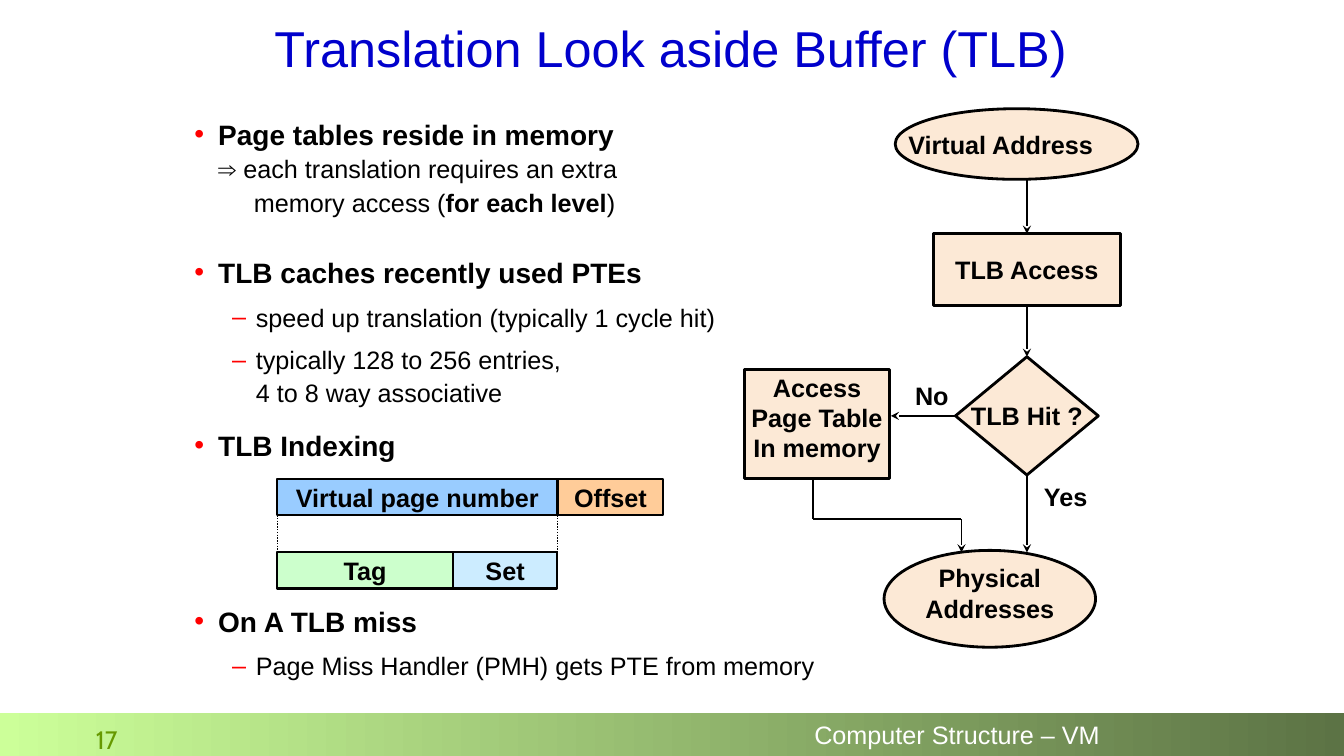
from lxml import etree
from pptx import Presentation
from pptx import util as u
from pptx.dml.color import RGBColor
from pptx.enum import dml, shapes, text
from pptx.oxml.ns import qn

COLORS = {
    "title": "0000CC", "ink": "000000", "bullet": "FF0000", "step": "FCE9D6",
    "page": "99CCFF", "offset": "FFCC99", "tag": "CCFFCC", "set": "CCECFF",
    "bar_start": "CCFF99", "bar_end": "5C7345", "footer": "FFFFFF",
    "number": "669900",
}
CENTER, LEFT, RIGHT = text.PP_ALIGN.CENTER, text.PP_ALIGN.LEFT, text.PP_ALIGN.RIGHT
TOP, MIDDLE = text.MSO_ANCHOR.TOP, text.MSO_ANCHOR.MIDDLE
NO_INSETS = (0, 0, 0, 0)

# text, kind, space before in points
OUTLINE = [
    ("Page tables reside in memory", "topic", 0),
    ("⇒ each translation requires an extra\vmemory access (", "result", 0),
    ("TLB caches recently used PTEs", "topic", 25),
    ("speed up translation (typically 1 cycle hit)", "detail", 7),
    ("typically 128 to 256 entries,\v4 to 8 way associative", "detail", 6.5),
    ("TLB Indexing", "topic", 12.5),
    ("On A TLB miss", "topic", 99),
    ("Page Miss Handler (PMH) gets PTE from memory", "detail", 7),
]
# kind: left margin and indent in cm, bullet, size, bold, level
KINDS = {
    "topic": (0.6, -0.6, "•", 20, True, 0),
    "result": (1.5, -0.9, None, 18, False, 0),
    "detail": (1.55, -0.6, "–", 18, False, 1),
}


def rgb(name):
    return RGBColor.from_string(COLORS[name])


def style_run(run, size=18, color="ink", bold=False, font="Arial"):
    run.font.size = u.Pt(size)
    run.font.name = font
    run.font.bold = bold
    run.font.color.rgb = rgb(color)


def write(shape, words, align=CENTER, anchor=MIDDLE, insets=NO_INSETS,
          wrap=False, spacing=None, **style):
    """Put words in a shape; insets are left, top, right, bottom in cm."""
    frame = shape.text_frame
    frame.text = words
    frame.word_wrap = wrap
    frame.vertical_anchor = anchor
    (frame.margin_left, frame.margin_top,
     frame.margin_right, frame.margin_bottom) = map(u.Cm, insets)
    for paragraph in frame.paragraphs:
        paragraph.alignment = align
        if spacing:
            paragraph.line_spacing = spacing
        for run in paragraph.runs:
            style_run(run, **style)


def add_label(slide, box, words, **options):
    write(slide.shapes.add_textbox(*map(u.Cm, box)), words, **options)


def add_block(slide, kind, box, words, fill, width=2, **options):
    block = slide.shapes.add_shape(kind, *map(u.Cm, box))
    block.shadow.inherit = False
    block.fill.solid()
    block.fill.fore_color.rgb = rgb(fill)
    block.line.color.rgb = rgb("ink")
    block.line.width = u.Pt(width)
    write(block, words, bold=True, **options)
    return block


def add_line(slide, start, end, arrow=True, dotted=False):
    line = slide.shapes.add_connector(
        shapes.MSO_CONNECTOR.STRAIGHT, *map(u.Cm, (*start, *end)))
    line.line.color.rgb = rgb("ink")
    line.line.width = u.Pt(1)
    if dotted:
        line.line.dash_style = dml.MSO_LINE.ROUND_DOT
    if arrow:
        etree.SubElement(line.line._get_or_add_ln(), qn("a:tailEnd"), type="stealth")
    etree.SubElement(line._element.spPr, qn("a:effectLst"))
    return line


def add_bullet(paragraph, margin, indent, mark):
    properties = paragraph._p.get_or_add_pPr()
    properties.set("marL", str(u.Cm(margin)))
    properties.set("indent", str(u.Cm(indent)))
    if mark:
        color = etree.SubElement(properties, qn("a:buClr"))
        etree.SubElement(color, qn("a:srgbClr"), val=COLORS["bullet"])
        etree.SubElement(properties, qn("a:buFont"), typeface="Arial")
        etree.SubElement(properties, qn("a:buChar"), char=mark)
    else:
        etree.SubElement(properties, qn("a:buNone"))


def add_outline(slide):
    frame = slide.shapes.add_textbox(
        u.Cm(4.65), u.Cm(2.74), u.Cm(20.96), u.Cm(15.04)).text_frame
    frame.word_wrap = True
    for index, (words, kind, before) in enumerate(OUTLINE):
        point = frame.add_paragraph() if index else frame.paragraphs[0]
        margin, indent, mark, size, bold, level = KINDS[kind]
        point.text = words
        point.level = level
        add_bullet(point, margin, indent, mark)
        point.line_spacing = 1.1
        point.space_before = u.Pt(before)
        for run in point.runs:
            style_run(run, size, bold=bold)
        if kind == "result":
            for ending, strong in (("for each level", True), (")", False)):
                run = point.add_run()
                run.text = ending
                style_run(run, size, bold=strong)


def add_address_fields(slide):
    """Two rows of address fields; the lower one splits the page number."""
    left, page_width = 6.99, 7.06
    tops, height = (12.07, 13.92), 0.91
    rows = (
        (("Virtual page number", "page", page_width), ("Offset", "offset", 2.67)),
        (("Tag", "tag", 4.42), ("Set", "set", page_width - 4.42)),
    )
    for top, row in zip(tops, rows):
        x = left
        for words, fill, width in row:
            add_block(slide, shapes.MSO_SHAPE.RECTANGLE, (x, top, width, height),
                      words, fill, 1.5)
            x += width
    for x in (left, left + page_width):
        add_line(slide, (x, tops[0] + height), (x, tops[1]), arrow=False, dotted=True)


def add_flow(slide):
    preset = shapes.MSO_SHAPE
    flow_x, hit_y = 25.88, 10.48
    add_block(slide, preset.OVAL, (22.56, 2.74, 6.12, 1.78), "Virtual Address",
              "step", insets=(0, 0, 0.8, 0))
    access = add_block(slide, preset.RECTANGLE, (flow_x - 2.35, 5.89, 4.7, 1.8),
                       "TLB Access", "step", 2.25)
    hit = add_block(slide, preset.DIAMOND, (flow_x - 1.8, hit_y - 1.49, 3.6, 2.98),
                    "TLB Hit ?", "step")
    add_block(slide, preset.RECTANGLE, (18.77, 9.32, 3.64, 2.74),
              "Access\nPage Table\nIn memory", "step", anchor=TOP,
              insets=(0, 0.05, 0, 0))
    add_block(slide, preset.OVAL, (22.28, 13.87, 5.33, 2.44),
              "Physical\nAddresses", "step", insets=(0, 0, 0, 0.3))

    to_access = add_line(slide, (flow_x, 4.5), (flow_x, 5.89))
    to_access.end_connect(access, 0)
    to_hit = add_line(slide, (flow_x, 7.69), (flow_x, 8.99))
    to_hit.begin_connect(access, 2)
    to_hit.end_connect(hit, 0)
    on_miss = add_line(slide, (flow_x - 1.8, hit_y), (22.45, hit_y))
    on_miss.begin_connect(hit, 1)
    on_hit = add_line(slide, (flow_x, 11.97), (flow_x, 13.92))
    on_hit.begin_connect(hit, 2)

    detour = [(20.49, 12.06), (20.49, 13.08), (24.23, 13.08), (24.23, 13.92)]
    for start, end in zip(detour, detour[1:]):
        add_line(slide, start, end, arrow=end == detour[-1])

    for words, box in (("Yes", (26.06, 11.99, 1.63, 1.02)),
                       ("No", (22.81, 9.45, 1.37, 1.02))):
        add_label(slide, box, words, align=LEFT, anchor=TOP, bold=True,
                  insets=(0.25, 0.13, 0.25, 0.13))


def add_footer(slide):
    bar = slide.shapes.add_shape(shapes.MSO_SHAPE.RECTANGLE, u.Cm(0), u.Cm(17.98),
                                 u.Cm(33.87), u.Cm(1.07))
    bar.shadow.inherit = False
    bar.line.fill.background()
    bar.fill.gradient()
    bar.fill.gradient_angle = 0
    for stop, name in zip(bar.fill.gradient_stops, ("bar_start", "bar_end")):
        stop.color.rgb = rgb(name)
    write(bar, "Computer Structure – VM", align=RIGHT, insets=(0, 0, 6.15, 0),
          wrap=True, color="footer")
    add_label(slide, (1.7, 18.21, 1.98, 0.94), "17", anchor=TOP, wrap=True,
              insets=(0.25, 0.13, 0.25, 0.13), spacing=0.9, color="number",
              font="Cabin")


def main():
    deck = Presentation()
    deck.slide_width, deck.slide_height = u.Cm(33.87), u.Cm(19.05)
    slide = deck.slides.add_slide(deck.slide_layouts[6])
    add_footer(slide)
    add_label(slide, (5.64, 0.43, 22.53, 1.7), "Translation Look aside Buffer (TLB)",
              wrap=True, spacing=0.9, size=36, color="title")
    add_outline(slide)
    add_flow(slide)
    add_address_fields(slide)
    deck.save("out.pptx")


if __name__ == "__main__":
    main()
